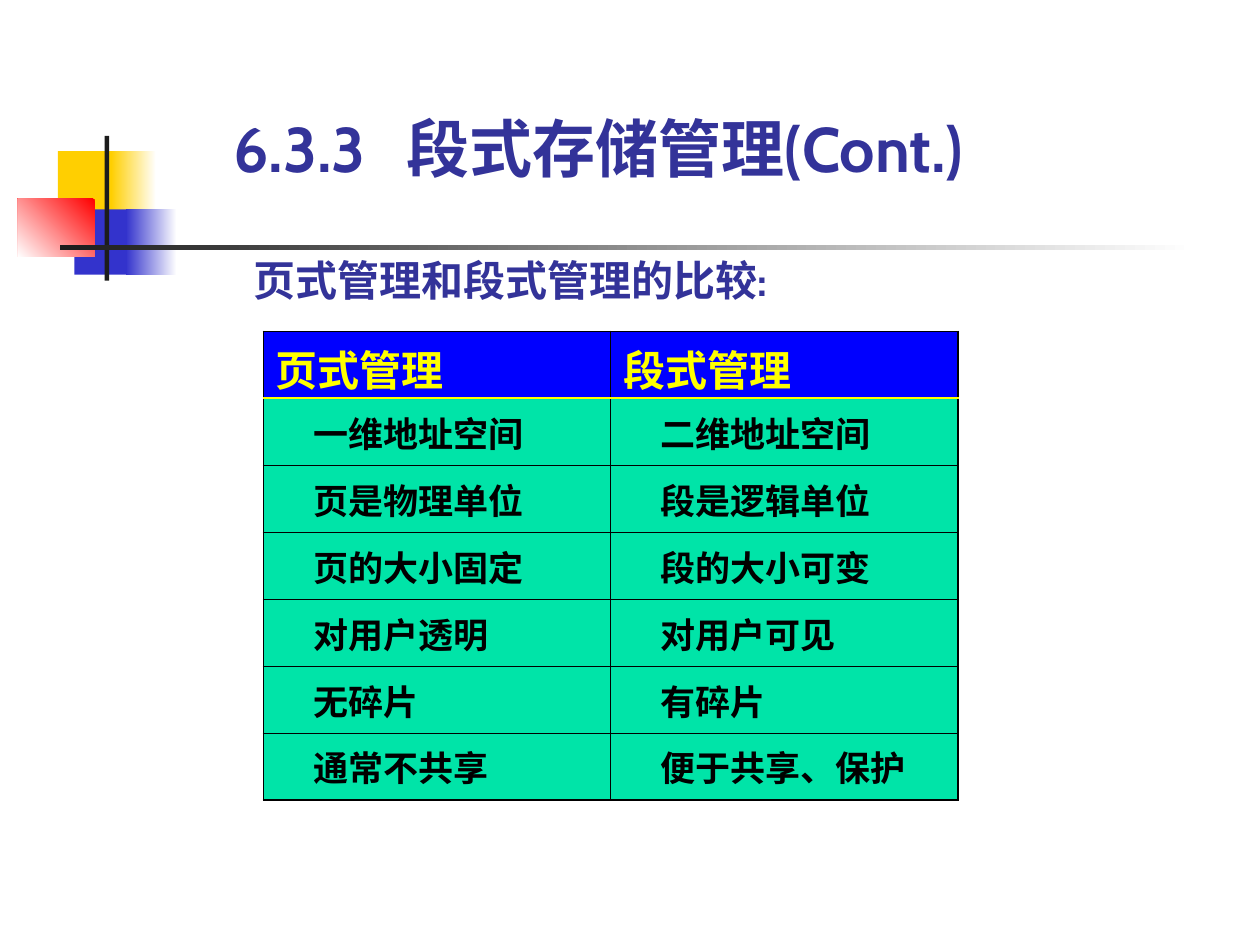
from dataclasses import dataclass
from typing import NamedTuple, Optional

from lxml import etree
from pptx import Presentation
from pptx import util as u
from pptx.dml.color import RGBColor
from pptx.enum import shapes, text
from pptx.oxml.ns import qn


@dataclass(frozen=True)
class Theme:
    font: str = "Cabin"
    heading: str = "333399"
    yellow: str = "FFCF01"
    blue: str = "3333CC"
    red: str = "FF0000"
    dark: str = "1C1C1C"
    white: str = "FFFFFF"
    black: str = "000000"
    header_fill: str = "0000FF"
    header_text: str = "FFFF00"
    body_fill: str = "00E4A8"
    title_size: int = 36
    subtitle_size: int = 24
    body_size: int = 20


THEME = Theme()


class Block(NamedTuple):
    """Decorative rectangle in cm; with an end colour it is a gradient."""
    left: float
    top: float
    width: float
    height: float
    color: str
    end: Optional[str] = None
    angle: float = 0


class Border(NamedTuple):
    color: str
    points: float


BLOCKS = [
    Block(1.17, 3.05, 1.22, 1.32, THEME.yellow),
    Block(2.24, 3.05, 0.91, 1.32, THEME.white, THEME.yellow, 180),
    Block(1.5, 4.22, 1.17, 1.32, THEME.blue),
    Block(2.54, 4.22, 1.02, 1.32, THEME.white, THEME.blue, 180),
    Block(0.36, 4.01, 1.55, 1.17, THEME.red, THEME.white, 225),
    Block(2.11, 2.74, 0.09, 2.92, THEME.dark),
    Block(1.22, 4.94, 22.86, 0.1, THEME.white, THEME.dark, 180),
]

COMPARISON = [
    ("页式管理", "段式管理"),
    ("一维地址空间", "二维地址空间"),
    ("页是物理单位", "段是逻辑单位"),
    ("页的大小固定", "段的大小可变"),
    ("对用户透明", "对用户可见"),
    ("无碎片", "有碎片"),
    ("通常不共享", "便于共享、保护"),
]
COLUMN_WIDTH, ROW_HEIGHT = 7, 1.35

THICK = Border(THEME.black, 1.08)
THIN = Border(THEME.black, 0.45)
HEADER_RULE = Border(THEME.header_text, 1.47)


def rgb(color: str) -> RGBColor:
    return RGBColor.from_string(color)


def add_run(p, content: str, size: int, color: str) -> None:
    r = p.add_run()
    r.text = content
    r.font.name = THEME.font
    r.font.size = u.Pt(size)
    r.font.bold = True
    r.font.color.rgb = rgb(color)


def add_block(s, block: Block) -> None:
    sp = s.shapes.add_shape(
        shapes.MSO_SHAPE.RECTANGLE, u.Cm(block.left), u.Cm(block.top),
        u.Cm(block.width), u.Cm(block.height))
    sp.shadow.inherit = False
    sp.line.fill.background()
    if block.end is None:
        sp.fill.solid()
        sp.fill.fore_color.rgb = rgb(block.color)
        return
    sp.fill.gradient()
    sp.fill.gradient_angle = block.angle
    for stop, color in zip(sp.fill.gradient_stops, (block.color, block.end)):
        stop.color.rgb = rgb(color)


def format_heading(sp, anchor, spacing: float):
    """Clear the frame's insets and return its left-aligned paragraph."""
    tf = sp.text_frame
    tf.margin_left = tf.margin_top = tf.margin_right = tf.margin_bottom = 0
    tf.word_wrap = True
    tf.auto_size = text.MSO_AUTO_SIZE.SHAPE_TO_FIT_TEXT
    tf.vertical_anchor = anchor
    p = tf.paragraphs[0]
    p.alignment = text.PP_ALIGN.LEFT
    p.line_spacing = spacing
    return p


def add_title(s) -> None:
    title = s.shapes.title
    title.left, title.top = u.Cm(4.7), u.Cm(2.44)
    title.width, title.height = u.Cm(17.6), u.Cm(1.3)
    p = format_heading(title, text.MSO_ANCHOR.BOTTOM, 0.85)
    tabs = etree.SubElement(p._p.get_or_add_pPr(), qn("a:tabLst"))
    etree.SubElement(tabs, qn("a:tab"), pos=str(u.Cm(3.5)), algn="l")
    add_run(p, "6.3.3\t段式存储管理(Cont.)", THEME.title_size, THEME.heading)


def add_subtitle(s) -> None:
    box = s.shapes.add_textbox(u.Cm(5.11), u.Cm(5.33), u.Cm(11.2), u.Cm(0.81))
    p = format_heading(box, text.MSO_ANCHOR.TOP, 0.8)
    add_run(p, "页式管理和段式管理的比较:", THEME.subtitle_size, THEME.heading)


def set_borders(cell, top: Border, bottom: Border) -> None:
    """Put the edge lines ahead of the fill, as the schema requires."""
    tc_pr = cell._tc.get_or_add_tcPr()
    edges = {"L": THICK, "R": THICK, "T": top, "B": bottom}
    for i, (side, border) in enumerate(edges.items()):
        ln = etree.Element(qn(f"a:ln{side}"), w=str(u.Pt(border.points)))
        fill = etree.SubElement(ln, qn("a:solidFill"))
        etree.SubElement(fill, qn("a:srgbClr"), val=border.color)
        tc_pr.insert(i, ln)


def fill_cell(cell, content: str, header: bool) -> None:
    cell.fill.solid()
    cell.fill.fore_color.rgb = rgb(THEME.header_fill if header else THEME.body_fill)
    cell.vertical_anchor = text.MSO_ANCHOR.MIDDLE
    cell.margin_left = u.Cm(0.25 if header else 1)
    p = cell.text_frame.paragraphs[0]
    if header:
        add_run(p, content, THEME.subtitle_size, THEME.header_text)
    else:
        add_run(p, content, THEME.body_size, THEME.black)


def add_comparison(s) -> None:
    rows, cols = len(COMPARISON), len(COMPARISON[0])
    table = s.shapes.add_table(
        rows, cols, u.Cm(5.31), u.Cm(6.68),
        u.Cm(COLUMN_WIDTH * cols), u.Cm(ROW_HEIGHT * rows)).table
    for column in table.columns:
        column.width = u.Cm(COLUMN_WIDTH)
    rules = [THICK, HEADER_RULE] + [THIN] * (rows - 2) + [THICK]
    for i, labels in enumerate(COMPARISON):
        table.rows[i].height = u.Cm(ROW_HEIGHT)
        for j, label in enumerate(labels):
            cell = table.cell(i, j)
            fill_cell(cell, label, header=i == 0)
            set_borders(cell, rules[i], rules[i + 1])


def main() -> None:
    prs = Presentation()
    prs.slide_width, prs.slide_height = u.Cm(25.4), u.Cm(19.05)
    s = prs.slides.add_slide(prs.slide_layouts[5])
    for block in BLOCKS:
        add_block(s, block)
    add_comparison(s)
    add_subtitle(s)
    add_title(s)
    prs.save("out.pptx")


if __name__ == "__main__":
    main()
